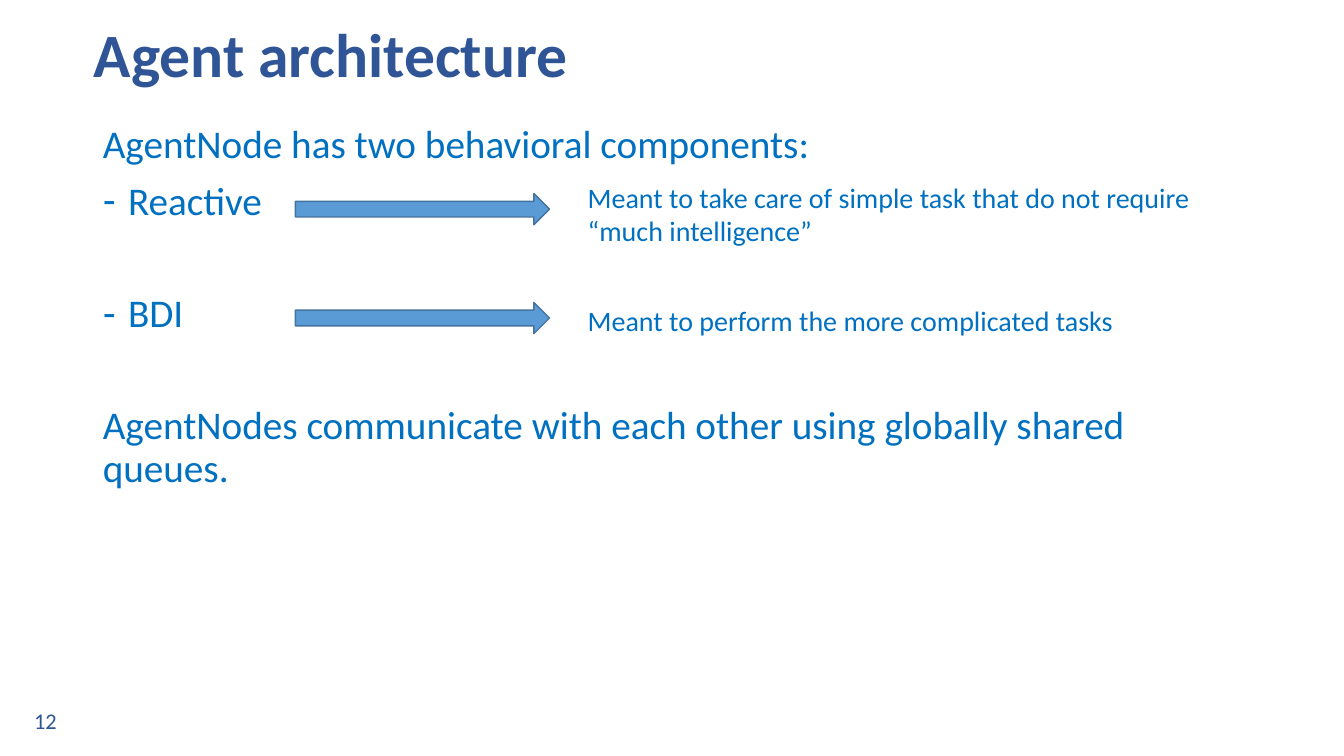
from dataclasses import dataclass

from lxml import etree
from pptx import Presentation
from pptx.dml.color import RGBColor
from pptx.enum.shapes import MSO_SHAPE
from pptx.enum.text import MSO_ANCHOR as ANCHOR, MSO_AUTO_SIZE as AUTO_SIZE, PP_ALIGN as ALIGN
from pptx.oxml.ns import qn
from pptx.util import Inches, Pt


@dataclass(frozen=True)
class Theme:
    font: str = "Calibri"
    navy: str = "2F5597"
    blue: str = "0070C0"
    arrow_fill: str = "5B9BD5"
    arrow_line: str = "43739E"
    title_size: int = 44
    body_size: int = 28
    note_size: int = 20
    number_size: int = 16


THEME = Theme()

# Text, bullet or not, space before in points
BODY = [
    ("AgentNode has two behavioral components:", False, 10),
    ("Reactive", True, 10),
    ("BDI", True, 50),
    ("AgentNodes communicate with each other using globally shared queues.", False, 50),
]

# Arrow top, note top, note height, note lines
COMPONENTS = [
    (1.92, 1.74, 0.77, ["Meant to take care of simple task that do not require",
                        "“much intelligence”"]),
    (3, 2.96, 0.44, ["Meant to perform the more complicated tasks"]),
]


def place(sp, left, top, width, height):
    sp.left, sp.top = Inches(left), Inches(top)
    sp.width, sp.height = Inches(width), Inches(height)


def format_text(p, size, color, bold=False):
    p.alignment = ALIGN.LEFT
    for r in p.runs:
        r.font.name = THEME.font
        r.font.size = Pt(size)
        r.font.bold = bold
        r.font.color.rgb = RGBColor.from_string(color)


def set_bullet(p, bulleted):
    pPr = p._p.get_or_add_pPr()
    indent = Inches(0.25) if bulleted else 0
    pPr.set("marL", str(indent))
    pPr.set("indent", str(-indent))
    if bulleted:
        etree.SubElement(pPr, qn("a:buFontTx"))
        etree.SubElement(pPr, qn("a:buChar")).set("char", "-")
    else:
        etree.SubElement(pPr, qn("a:buNone"))


def fill_title(sp, text):
    place(sp, 0.83, 0.18, 11.5, 0.79)
    tf = sp.text_frame
    tf.text = text
    tf.auto_size = AUTO_SIZE.NONE
    tf.vertical_anchor = ANCHOR.MIDDLE
    p = tf.paragraphs[0]
    p.line_spacing = 0.9
    format_text(p, THEME.title_size, THEME.navy, bold=True)


def fill_body(sp, items):
    place(sp, 0.92, 1.19, 11.5, 5.91)
    tf = sp.text_frame
    tf.text = "\n".join(text for text, _, _ in items)
    tf.auto_size = AUTO_SIZE.NONE
    for p, (_, bulleted, space) in zip(tf.paragraphs, items):
        p.line_spacing = 0.9
        p.space_before = Pt(space)
        set_bullet(p, bulleted)
        format_text(p, THEME.body_size, THEME.blue)


def add_text(slide, box, lines, size, color, anchor=ANCHOR.TOP):
    sp = slide.shapes.add_textbox(*map(Inches, box))
    tf = sp.text_frame
    tf.word_wrap = True
    tf.vertical_anchor = anchor
    tf.text = "\n".join(lines)
    for p in tf.paragraphs:
        format_text(p, size, color)


def add_arrow(slide, top):
    sp = slide.shapes.add_shape(MSO_SHAPE.RIGHT_ARROW, Inches(2.93), Inches(top),
                                Inches(2.52), Inches(0.31))
    sp.shadow.inherit = False
    sp.fill.solid()
    sp.fill.fore_color.rgb = RGBColor.from_string(THEME.arrow_fill)
    sp.line.color.rgb = RGBColor.from_string(THEME.arrow_line)
    sp.line.width = Pt(1)


def main():
    prs = Presentation()
    prs.slide_width, prs.slide_height = Inches(13.33), Inches(7.5)
    slide = prs.slides.add_slide(prs.slide_layouts[1])

    # Title and list
    fill_title(slide.shapes.title, "Agent architecture")
    fill_body(slide.placeholders[1], BODY)

    # Explanation of each component
    for arrow_top, note_top, note_height, lines in COMPONENTS:
        add_text(slide, (5.73, note_top, 7.6, note_height), lines,
                 THEME.note_size, THEME.blue)
        add_arrow(slide, arrow_top)

    # Slide number
    add_text(slide, (0.24, 6.95, 3, 0.4), ["12"], THEME.number_size, THEME.navy,
             ANCHOR.MIDDLE)

    prs.save("out.pptx")


if __name__ == "__main__":
    main()
